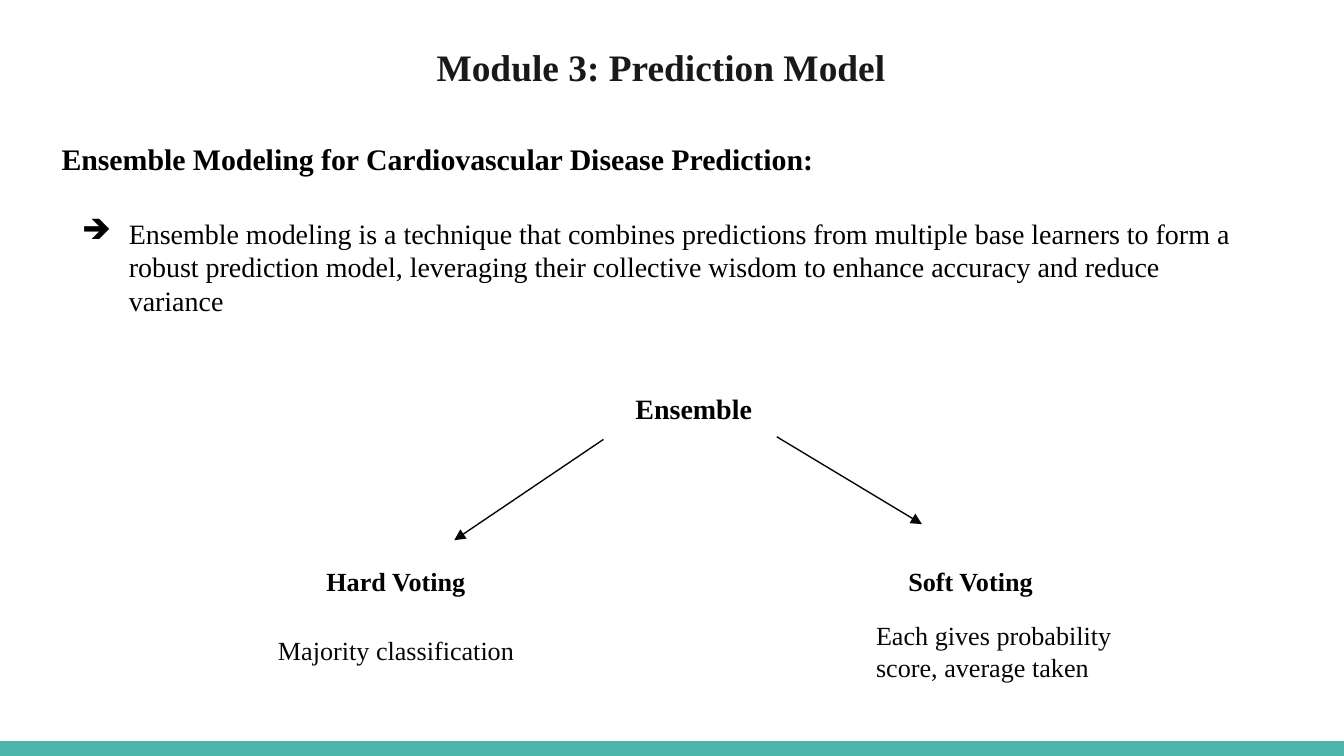
from lxml import etree
from pptx import Presentation
from pptx import util as u
from pptx.dml.color import RGBColor
from pptx.enum import shapes, text
from pptx.oxml.ns import qn

COLORS = {"band": "4DB6AC", "title": "191919", "black": "000000", "ink": "070605"}
FONT = "Times New Roman"

# Widescreen 16:9 slide
prs = Presentation()
prs.slide_width = u.Inches(10)
prs.slide_height = u.Inches(10 * 9 / 16)
s = prs.slides.add_slide(prs.slide_layouts[6])


def rgb(name):
    return RGBColor.from_string(COLORS[name])


def add_text(box, words, size, color="black", bold=False):
    sp = s.shapes.add_textbox(*[u.Inches(v) for v in box])
    tf = sp.text_frame
    frame = {"word_wrap": True, "auto_size": text.MSO_AUTO_SIZE.SHAPE_TO_FIT_TEXT}
    frame.update({f"margin_{side}": u.Inches(0.1)
                  for side in ("left", "top", "right", "bottom")})
    for key, value in frame.items():
        setattr(tf, key, value)
    p = tf.paragraphs[0]
    r = p.add_run()
    r.text = words
    for key, value in {"name": FONT, "size": u.Pt(size), "bold": bold}.items():
        setattr(r.font, key, value)
    r.font.color.rgb = rgb(color)
    return p


# Bottom band
band_height = u.Inches(0.11)
sp = s.shapes.add_shape(shapes.MSO_SHAPE.RECTANGLE, 0, prs.slide_height - band_height,
                        prs.slide_width, band_height)
sp.shadow.inherit = False
sp.fill.solid()
sp.fill.fore_color.rgb = rgb("band")
sp.line.fill.background()

# Title and heading
p = add_text((3.14, 0.18, 3.73, 0.54), "Module 3: Prediction Model", 20, "title", True)
p.line_spacing = 1.15
p._p.get_or_add_pPr().set("marL", str(u.Inches(0.01)))
add_text((0.36, 0.95, 6.46, 0.47),
         "Ensemble Modeling for Cardiovascular Disease Prediction:", 16, bold=True)

# Bulleted definition
p = add_text((0.36, 1.51, 9.05, 0.96),
             "Ensemble modeling is a technique that combines predictions from multiple "
             "base learners to form a robust prediction model, leveraging their "
             "collective wisdom to enhance accuracy and reduce variance", 15)
pPr = p._p.get_or_add_pPr()
pPr.set("marL", str(u.Inches(0.5)))
pPr.set("indent", str(u.Inches(-0.35)))
buClr = etree.SubElement(pPr, qn("a:buClr"))
etree.SubElement(buClr, qn("a:srgbClr"), val=COLORS["black"])
etree.SubElement(pPr, qn("a:buChar"), char="➔")

# Tree labels
for box, words, size, color, bold in [
    ((4.63, 2.81, 1.29, 0.45), "Ensemble", 15, "black", True),
    ((2.33, 4.11, 1.29, 0.44), "Hard Voting", 14, "black", True),
    ((6.66, 4.11, 1.49, 0.44), "Soft Voting", 14, "black", True),
    ((1.97, 4.62, 1.97, 0.44), "Majority classification", 14, "ink", False),
    ((6.42, 4.51, 1.97, 0.67), "Each gives probability score, average taken",
     14, "ink", False),
]:
    add_text(box, words, size, color, bold)

# Arrows from the ensemble to each voting type
for ends in [(4.49, 3.27, 3.38, 4.02), (5.78, 3.25, 6.86, 3.9)]:
    c = s.shapes.add_connector(shapes.MSO_CONNECTOR.STRAIGHT,
                               *[u.Inches(v) for v in ends])
    c.line.color.rgb = rgb("ink")
    c.line.width = u.Pt(0.75)
    etree.SubElement(c.line._get_or_add_ln(), qn("a:tailEnd"), type="triangle")
    etree.SubElement(c._element.spPr, qn("a:effectLst"))

prs.save("out.pptx")
